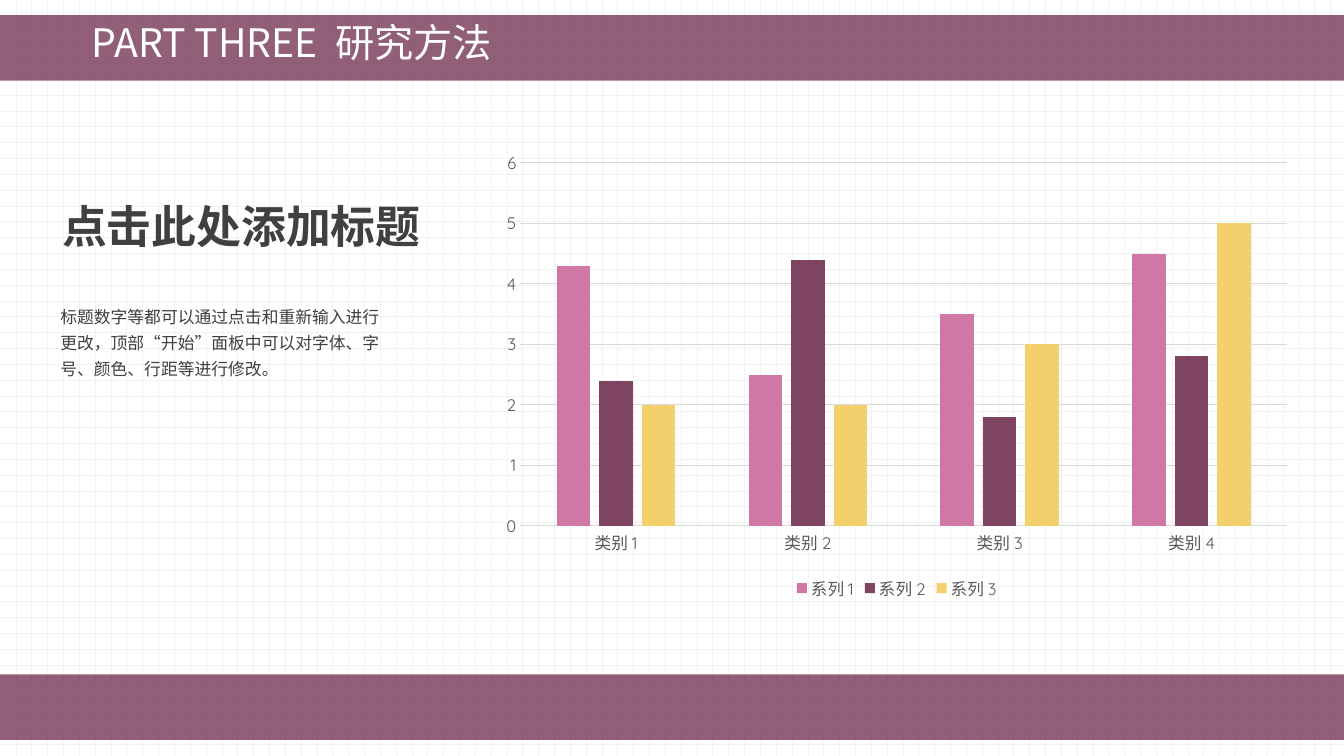
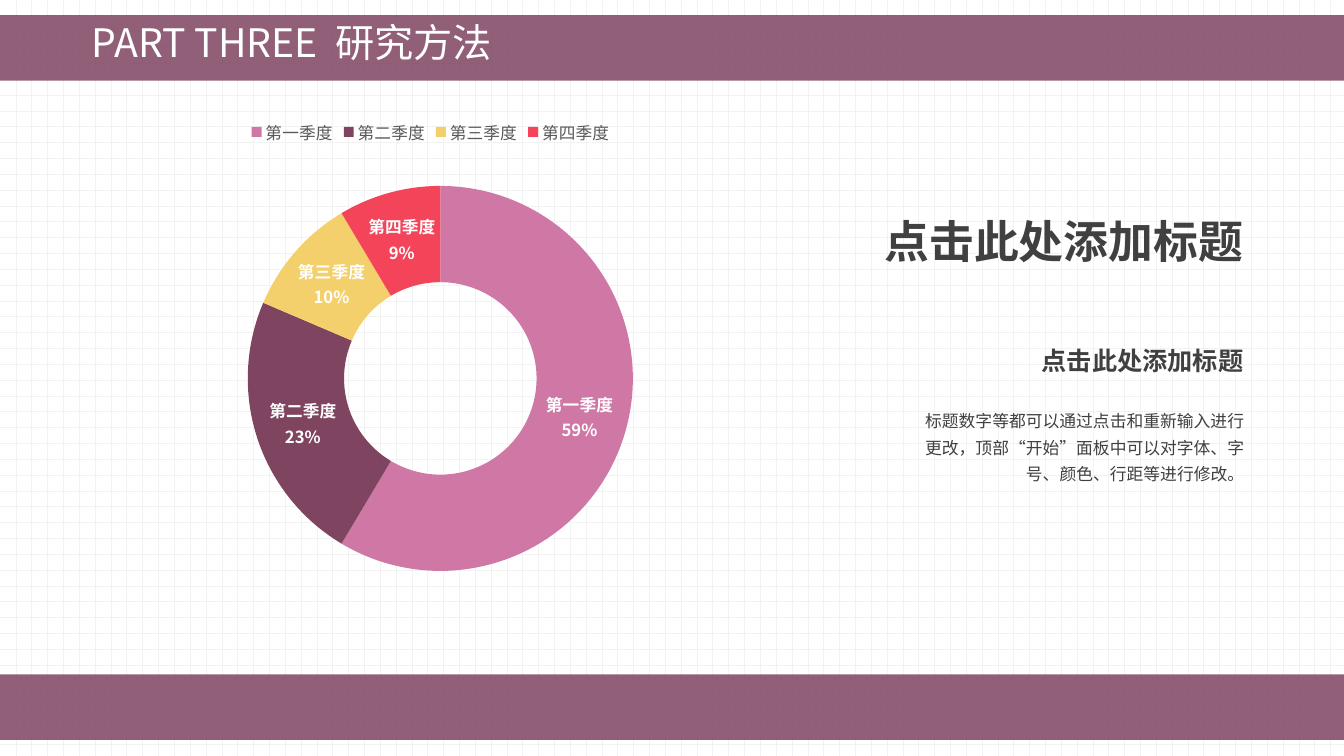
import pptx
import pptx.util
import pptx.dml.color
import pptx.chart.data
import pptx.enum.chart
import pptx.enum.dml
import pptx.enum.text
import pptx.oxml
import pptx.oxml.ns
from lxml import etree

Inches, Pt = pptx.util.Inches, pptx.util.Pt
qn = pptx.oxml.ns.qn
ALIGN = pptx.enum.text.PP_ALIGN
FIT = pptx.enum.text.MSO_AUTO_SIZE
CHART = pptx.enum.chart.XL_CHART_TYPE
LEGEND = pptx.enum.chart.XL_LEGEND_POSITION

# Shared style
CJK, LATIN = "Noto Sans CJK SC", "Quicksand"
PLUM, PINK, YELLOW, RED = "7E4460", "D078A5", "F3D06C", "F4445A"
WHITE, DARK, GREY, RULE, GRID = "FFFFFF", "404040", "595959", "D9D9D9", "F2F2F2"
PALETTE = [PINK, PLUM, YELLOW, RED]
WIDTH, HEIGHT = 13.33, 7.5
BAND_TOPS, BAND_HEIGHT = (0.15, 6.69), 0.65
CHART_SIZE = 11.9

# Content
SECTION = "PART THREE  研究方法"
HEADING = "点击此处添加标题"
BODY = ("标题数字等都可以通过点击和重新输入进行更改，"
        "顶部“开始”面板中可以对字体、字号、颜色、行距等进行修改。")
COLUMNS = {
    "cats": ["类别 1", "类别 2", "类别 3", "类别 4"],
    "series": [("系列 1", (4.3, 2.5, 3.5, 4.5)),
               ("系列 2", (2.4, 4.4, 1.8, 2.8)),
               ("系列 3", (2, 2, 3, 5))],
}
QUARTERS = {
    "cats": ["第一季度", "第二季度", "第三季度", "第四季度"],
    "series": [("Series 1", (8.2, 3.2, 1.4, 1.2))],
}
# text, box, size, font, bold, alignment, wrap, line spacing
COLUMN_TEXTS = [
    (BODY, (0.5, 2.93, 3.52, 0.89), 12, CJK, False, ALIGN.LEFT, True, 1.3),
    (HEADING, (0.5, 1.92, 3.79, 0.64), 32, LATIN, True, ALIGN.CENTER, False, 1),
]
QUARTER_TEXTS = [
    (HEADING, (10.21, 3.38, 2.22, 0.4), 18, LATIN, True, ALIGN.RIGHT, False, 1),
    (BODY, (8.92, 3.97, 3.52, 0.89), 12, CJK, False, ALIGN.RIGHT, True, 1.3),
    (HEADING, (8.64, 2.07, 3.79, 0.64), 32, LATIN, True, ALIGN.RIGHT, False, 1),
]


def rgb(value):
    return pptx.dml.color.RGBColor.from_string(value)


def box(values):
    return [Inches(v) for v in values]


def style_font(font, size, name, color, bold=False):
    font.size, font.name, font.bold = Pt(size), name, bold
    font.color.rgb = rgb(color)
    latin = font._element.find(qn("a:latin"))
    ea = etree.Element(qn("a:ea"), typeface=CJK)
    latin.addnext(ea)


def paint(fmt, color):
    fmt.fill.solid()
    fmt.fill.fore_color.rgb = rgb(color)


def rule(line):
    line.color.rgb = rgb(RULE)
    line.width = Pt(0.75)


def set_up_master(prs, layout, s):
    """Grid background, two bands and the title position for all slides."""
    master = prs.slide_master
    fill = master.background.fill
    fill.patterned()
    fill.pattern = pptx.enum.dml.MSO_PATTERN.DOTTED_GRID
    fill.fore_color.rgb, fill.back_color.rgb = rgb(GRID), rgb(WHITE)
    for top in BAND_TOPS:
        band = s.shapes.add_shape(1, *box((0, top, WIDTH, BAND_HEIGHT)))
        band.shadow.inherit = False
        paint(band, PLUM)
        band.line.fill.background()
        color = band._element.spPr.find(".//" + qn("a:srgbClr"))
        etree.SubElement(color, qn("a:alpha"), val="85000")
        master.shapes.element.append(band._element)
    title = layout.placeholders[0]
    title.left, title.top, title.width, title.height = box((0.81, 0.23, 5.32, 0.58))


def add_title(s):
    tf = s.shapes.title.text_frame
    tf.auto_size = FIT.NONE
    tf.vertical_anchor = pptx.enum.text.MSO_ANCHOR.TOP
    tf.margin_top = 0
    p = tf.paragraphs[0]
    p.alignment, p.line_spacing = ALIGN.LEFT, 0.9
    r = p.add_run()
    r.text = SECTION
    style_font(r.font, 28, CJK, WHITE)


def add_text(s, text, place, size, name, bold, align, wrap, spacing):
    tf = s.shapes.add_textbox(*box(place)).text_frame
    tf.word_wrap, tf.auto_size = wrap, FIT.SHAPE_TO_FIT_TEXT
    p = tf.paragraphs[0]
    p.alignment, p.line_spacing = align, spacing
    r = p.add_run()
    r.text = text
    style_font(r.font, size, name, DARK, bold)


def add_chart(s, kind, content, place, name, legend):
    data = pptx.chart.data.CategoryChartData()
    data.categories = content["cats"]
    for label, values in content["series"]:
        data.add_series(label, values)
    chart = s.shapes.add_chart(kind, *box(place), data).chart
    chart.has_title = False
    style_font(chart.font, 10, name, "000000")
    chart.has_legend = True
    chart.legend.position = legend
    chart.legend.include_in_layout = False
    style_font(chart.legend.font, CHART_SIZE, name, GREY)
    return chart


def add_columns(s):
    chart = add_chart(s, CHART.COLUMN_CLUSTERED, COLUMNS,
                      (4.86, 1.42, 8.07, 4.58), LATIN, LEGEND.BOTTOM)
    plot = chart.plots[0]
    plot.vary_by_categories = False
    plot.gap_width, plot.overlap = 219, -27
    for series, color in zip(plot.series, PALETTE):
        paint(series.format, color)
    for axis in (chart.category_axis, chart.value_axis):
        axis.major_tick_mark = axis.minor_tick_mark = pptx.enum.chart.XL_TICK_MARK.NONE
        style_font(axis.tick_labels.font, CHART_SIZE, LATIN, GREY)
    rule(chart.category_axis.format.line)
    values = chart.value_axis
    values.minimum_scale, values.maximum_scale, values.major_unit = 0, 6, 1
    values.format.line.fill.background()
    rule(values.major_gridlines.format.line)


def add_doughnut(s):
    chart = add_chart(s, CHART.DOUGHNUT, QUARTERS,
                      (0.51, 1.07, 7.52, 5), CJK, LEGEND.TOP)
    series = chart.plots[0].series[0]
    for i, color in enumerate(PALETTE):
        paint(series.points[i].format, color)
    labels = series.data_labels
    labels.show_value = False
    labels.show_category_name = labels.show_percentage = True
    style_font(labels.font, CHART_SIZE, CJK, WHITE, True)
    # Category and percentage on separate lines
    separator = etree.Element(qn("c:separator"))
    separator.text = "\n"
    flags = [e for e in labels._element if e.tag.startswith(qn("c:show"))
             and e.tag != qn("c:showLeaderLines")]
    flags[-1].addnext(separator)
    # Fixed inner plot area
    area = chart._chartSpace.find(".//" + qn("c:plotArea"))
    layout = area.find(qn("c:layout"))
    if layout is None:
        layout = etree.Element(qn("c:layout"))
        area.insert(0, layout)
    manual = etree.SubElement(layout, qn("c:manualLayout"))
    for tag, val in (("layoutTarget", "inner"), ("xMode", "edge"), ("yMode", "edge"),
                     ("x", "0.24"), ("y", "0.155"), ("w", "0.546"), ("h", "0.764")):
        etree.SubElement(manual, qn("c:" + tag), val=val)


def main():
    prs = pptx.Presentation()
    prs.slide_width, prs.slide_height = Inches(WIDTH), Inches(HEIGHT)
    layout = prs.slide_layouts[5]
    slides = [prs.slides.add_slide(layout) for _ in range(2)]
    set_up_master(prs, layout, slides[0])
    parts = zip(slides, (add_columns, add_doughnut), (COLUMN_TEXTS, QUARTER_TEXTS))
    for s, draw_chart, texts in parts:
        add_title(s)
        draw_chart(s)
        for text in texts:
            add_text(s, *text)
    prs.save("out.pptx")


if __name__ == "__main__":
    main()
